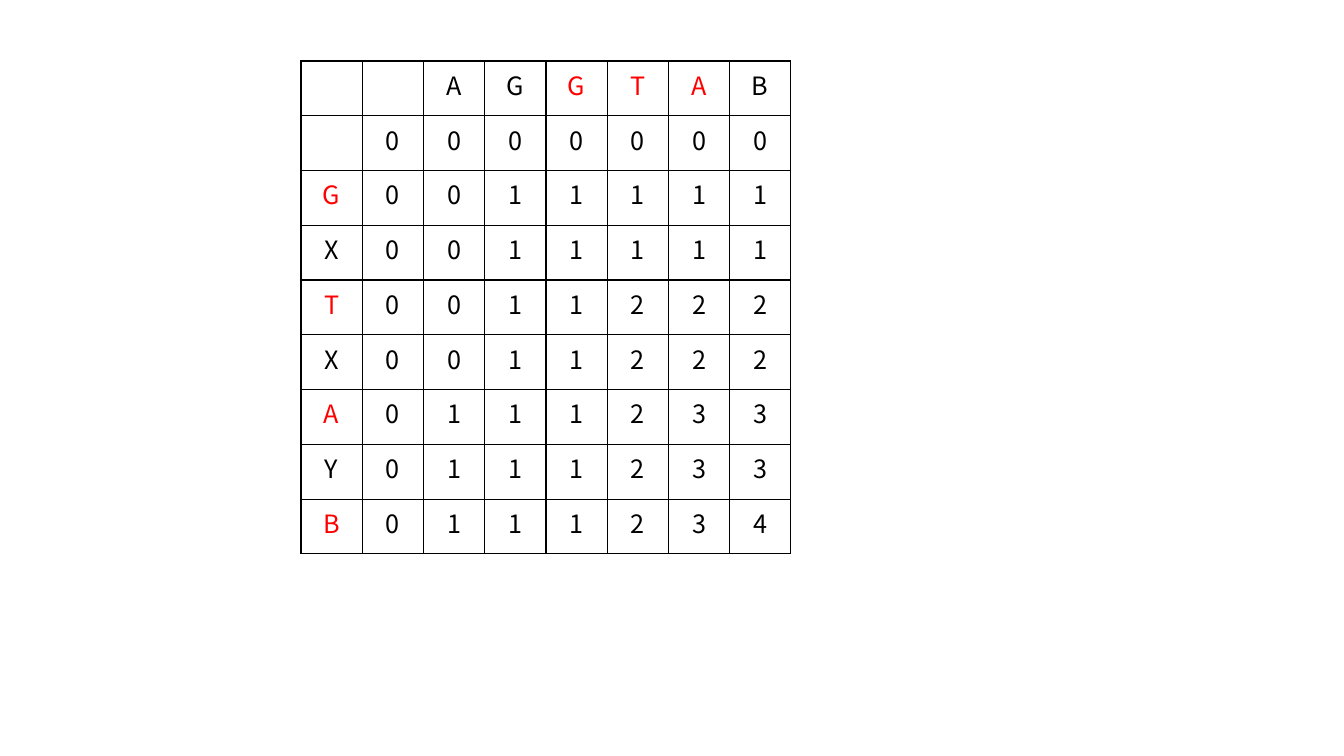
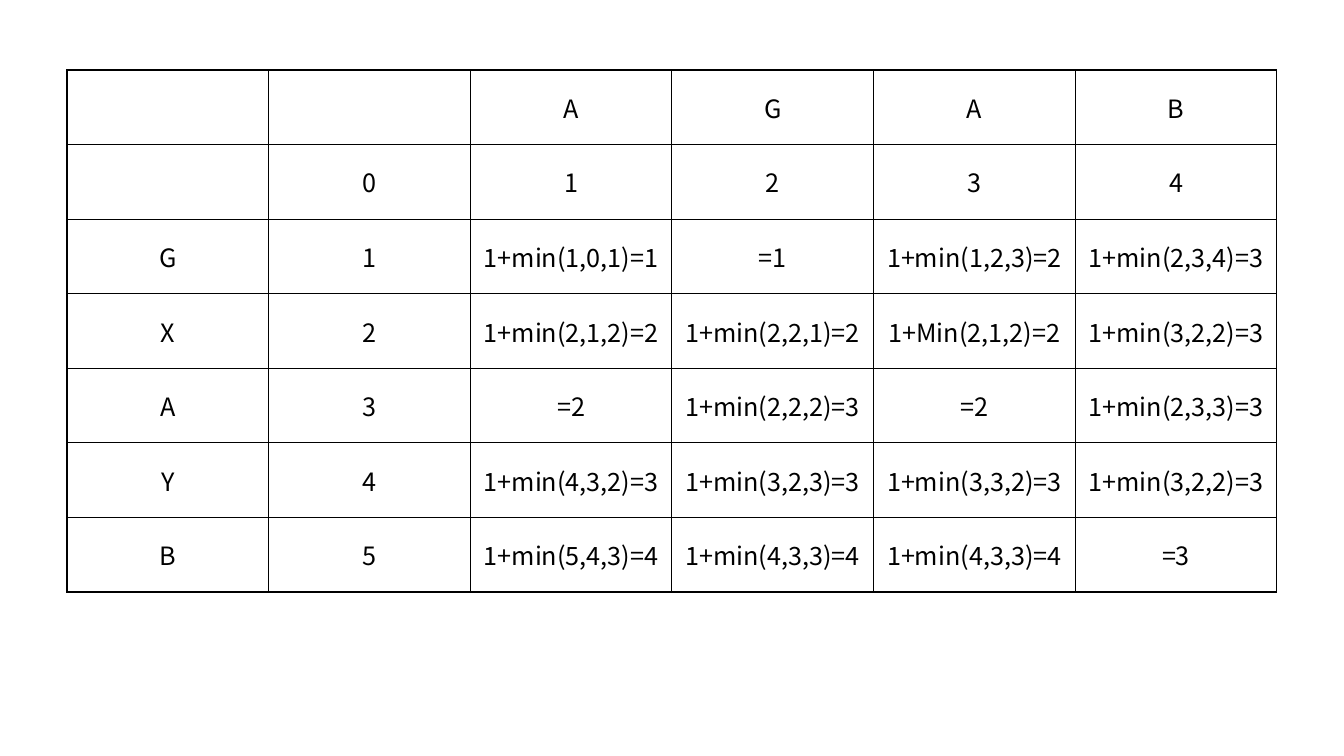
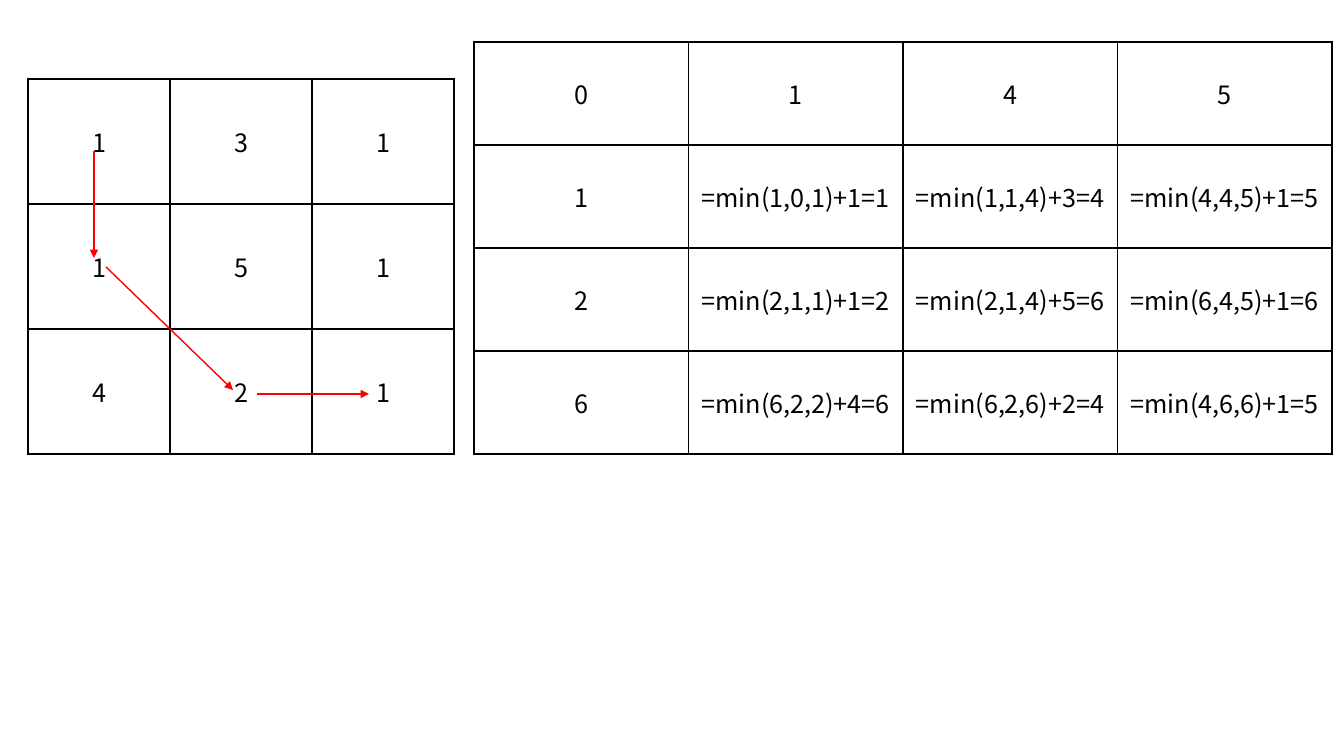
"""Build three slides of dynamic programming tables."""
from pptx import Presentation
from pptx.dml.color import RGBColor
from pptx.enum.shapes import MSO_CONNECTOR
from pptx.enum.text import MSO_ANCHOR, PP_ALIGN
from pptx.oxml import parse_xml
from pptx.oxml.ns import nsdecls
from pptx.util import Pt

EMU_PER_PX = 914400 / 100.8
FONT = "Noto Sans CJK SC"
BLACK = RGBColor(0x00, 0x00, 0x00)
RED = RGBColor(0xFF, 0x00, 0x00)
BLANK_LAYOUT = 6

LCS_ROWS = [
    ["", "", *"AGGTAB"],
    ["", *"0000000"],
    [*"G0011111"],
    [*"X0011111"],
    [*"T0011222"],
    [*"X0011222"],
    [*"A0111233"],
    [*"Y0111233"],
    [*"B0111234"],
]
LCS_MATCHES = {(0, 4), (0, 5), (0, 6), (2, 0), (4, 0), (6, 0), (8, 0)}

EDIT_ROWS = [
    ["", "", "A", "G", "A", "B"],
    ["", "0", "1", "2", "3", "4"],
    ["G", "1", "1+min(1,0,1)=1", "=1", "1+min(1,2,3)=2", "1+min(2,3,4)=3"],
    ["X", "2", "1+min(2,1,2)=2", "1+min(2,2,1)=2", "1+Min(2,1,2)=2", "1+min(3,2,2)=3"],
    ["A", "3", "=2", "1+min(2,2,2)=3", "=2", "1+min(2,3,3)=3"],
    ["Y", "4", "1+min(4,3,2)=3", "1+min(3,2,3)=3", "1+min(3,3,2)=3", "1+min(3,2,2)=3"],
    ["B", "5", "1+min(5,4,3)=4", "1+min(4,3,3)=4", "1+min(4,3,3)=4", "=3"],
]

COST_ROWS = [
    ["0", "1", "4", "5"],
    ["1", "=min(1,0,1)+1=1", "=min(1,1,4)+3=4", "=min(4,4,5)+1=5"],
    ["2", "=min(2,1,1)+1=2", "=min(2,1,4)+5=6", "=min(6,4,5)+1=6"],
    ["6", "=min(6,2,2)+4=6", "=min(6,2,6)+2=4", "=min(4,6,6)+1=5"],
]
GRID_ROWS = [[*"131"], [*"151"], [*"421"]]
PATH_STEPS = [(94, 151, 94, 258), (106, 267, 233, 390), (257, 394, 369, 394)]


def px(value):
    """Turn picture pixels into EMU."""
    return round(value * EMU_PER_PX)


def write(tf, text, size=18, color=BLACK, align=PP_ALIGN.CENTER):
    """Write one formatted paragraph into a text frame."""
    p = tf.paragraphs[0]
    p.alignment = align
    p.font.size = Pt(size)
    if text:
        r = p.add_run()
        r.text = text
        r.font.name = FONT
        r.font.size = Pt(size)
        r.font.color.rgb = color


def add_borders(cell, color=BLACK, width=1):
    """Draw a solid line on all four sides of a cell."""
    tc_pr = cell._tc.get_or_add_tcPr()
    for i, side in enumerate("LRTB"):
        tc_pr.insert(i, parse_xml(
            f'<a:ln{side} {nsdecls("a")} w="{Pt(width)}"><a:solidFill>'
            f'<a:srgbClr val="{color}"/></a:solidFill></a:ln{side}>'))


def add_grid(s, rows, left, top, width, height, anchor=MSO_ANCHOR.MIDDLE, red_cells=()):
    """Add a bordered table with equal columns and equal rows."""
    frame = s.shapes.add_table(len(rows), len(rows[0]), px(left), px(top), px(width), px(height))
    table = frame.table
    table.first_row = table.horz_banding = False
    for column in table.columns:
        column.width = px(width / len(rows[0]))
    for row in table.rows:
        row.height = px(height / len(rows))
    for i, values in enumerate(rows):
        for j, text in enumerate(values):
            cell = table.cell(i, j)
            cell.vertical_anchor = anchor
            cell.fill.background()
            add_borders(cell)
            write(cell.text_frame, text, color=RED if (i, j) in red_cells else BLACK)


def add_arrow(s, x1, y1, x2, y2, color=RED, width=1):
    """Add a straight arrow without a shadow."""
    arrow = s.shapes.add_connector(MSO_CONNECTOR.STRAIGHT, px(x1), px(y1), px(x2), px(y2))
    arrow.line.color.rgb = color
    arrow.line.width = Pt(width)
    arrow.line._get_or_add_ln().append(parse_xml(f'<a:tailEnd {nsdecls("a")} type="triangle"/>'))
    arrow._element.spPr.append(parse_xml(f'<a:effectLst {nsdecls("a")}/>'))


def main():
    """Build and save the presentation."""
    prs = Presentation()
    prs.slide_width, prs.slide_height = px(1344), px(756)
    layout = prs.slide_layouts[BLANK_LAYOUT]

    s = prs.slides.add_slide(layout)
    add_grid(s, LCS_ROWS, 301, 61, 490, 493, anchor=MSO_ANCHOR.TOP, red_cells=LCS_MATCHES)

    s = prs.slides.add_slide(layout)
    add_grid(s, EDIT_ROWS, 67, 70, 1210, 522)

    s = prs.slides.add_slide(layout)
    add_grid(s, COST_ROWS, 474, 42, 858, 412)
    add_grid(s, GRID_ROWS, 28, 79, 426, 375)
    for step in PATH_STEPS:
        add_arrow(s, *step)

    prs.save("out.pptx")


main()
